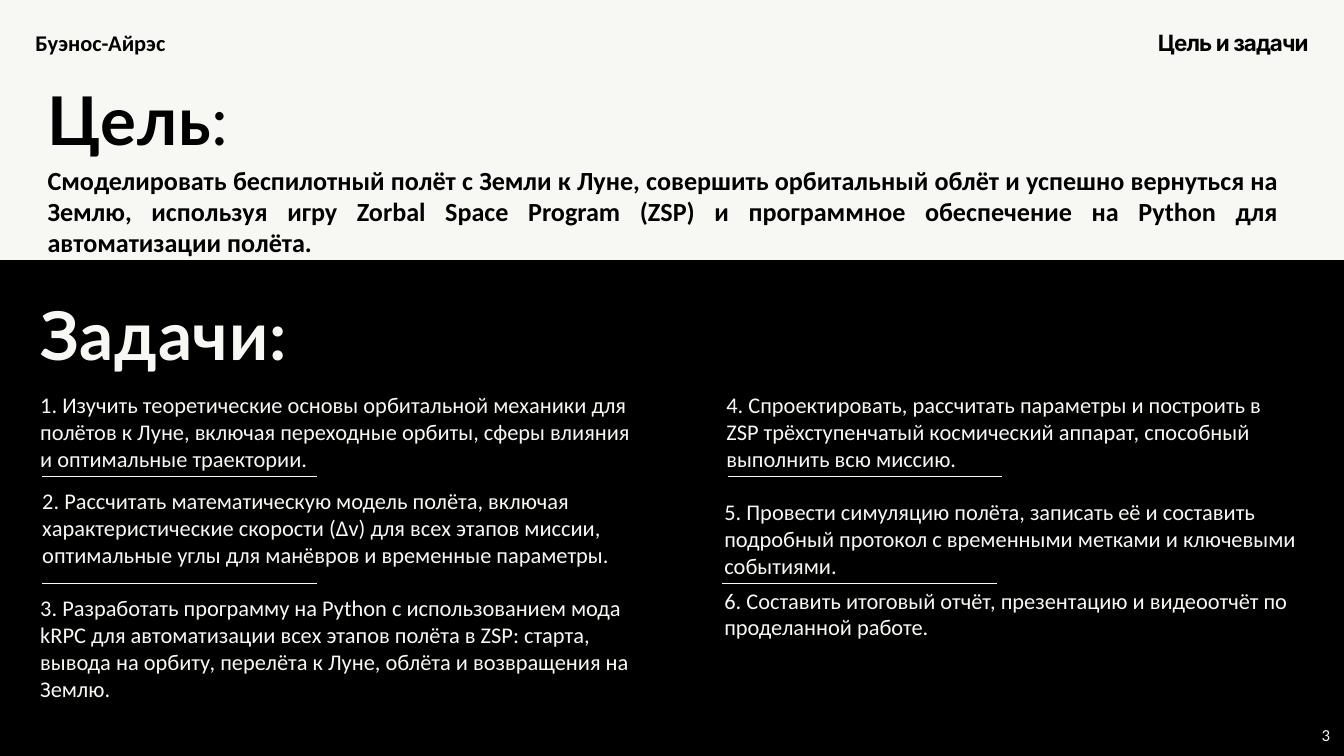
import pptx
import pptx.dml.color
import pptx.enum.shapes
import pptx.enum.text
import pptx.oxml.ns
import pptx.util
from lxml import etree
from pptx.util import Inches

BLACK = pptx.dml.color.RGBColor(0x00, 0x00, 0x00)
IVORY = pptx.dml.color.RGBColor(0xF7, 0xF8, 0xF3)

LEFT = pptx.enum.text.PP_ALIGN.LEFT
RIGHT = pptx.enum.text.PP_ALIGN.RIGHT
JUSTIFY = pptx.enum.text.PP_ALIGN.JUSTIFY

TEAM = "Буэнос-Айрэс"
SECTION = "Цель и задачи"
GOAL = (
    "Смоделировать беспилотный полёт с Земли к Луне, совершить орбитальный облёт "
    "и успешно вернуться на Землю, используя игру Zorbal Space Program (ZSP) "
    "и программное обеспечение на Python для автоматизации полёта."
)

# Left, top, width, height in inches, then the wording
TASKS = [
    (0.5, 5.77, 9.18, 1.65,
     "1. Изучить теоретические основы орбитальной механики для полётов к Луне, "
     "включая переходные орбиты, сферы влияния и оптимальные траектории."),
    (0.53, 7.2, 9.18, 1.62,
     "2. Рассчитать математическую модель полёта, включая характеристические "
     "скорости (Δv) для всех этапов миссии, оптимальные углы для манёвров "
     "и временные параметры."),
    (0.5, 8.79, 9.21, 2.12,
     "3. Разработать программу на Python с использованием мода kRPC для "
     "автоматизации всех этапов полёта в ZSP: старта, вывода на орбиту, "
     "перелёта к Луне, облёта и возвращения на Землю."),
    (10.71, 5.77, 8.58, 1.72,
     "4. Спроектировать, рассчитать параметры и построить в ZSP трёхступенчатый "
     "космический аппарат, способный выполнить всю миссию."),
    (10.68, 7.36, 8.84, 1.72,
     "5. Провести симуляцию полёта, записать её и составить подробный протокол "
     "с временными метками и ключевыми событиями."),
    (10.68, 8.68, 8.58, 1.25,
     "6. Составить итоговый отчёт, презентацию и видеоотчёт по проделанной работе."),
]

DIVIDER_LENGTH = 4.08
DIVIDER_STARTS = [(0.63, 7.09), (0.63, 8.68), (10.83, 7.09), (10.75, 8.68)]


def prepare_frame(shape, align=LEFT, wrap=True):
    """Set up the text frame and return its first paragraph."""
    frame = shape.text_frame
    frame.word_wrap = wrap
    frame.auto_size = pptx.enum.text.MSO_AUTO_SIZE.SHAPE_TO_FIT_TEXT
    frame.vertical_anchor = pptx.enum.text.MSO_ANCHOR.TOP
    paragraph = frame.paragraphs[0]
    paragraph.alignment = align
    return paragraph


def add_run(paragraph, text, size, color, font="Calibri", bold=False, spacing=0):
    """Add a run; spacing is the extra space between letters in points."""
    run = paragraph.add_run()
    run.text = text
    run.font.name = font
    run.font.size = pptx.util.Pt(size)
    run.font.bold = bold
    run.font.color.rgb = color
    if spacing:
        run.font._element.set("spc", str(spacing * 100))


def add_text(slide, box, text, size, color, align=LEFT, wrap=True, **style):
    shape = slide.shapes.add_textbox(*map(Inches, box))
    add_run(prepare_frame(shape, align, wrap), text, size, color, **style)


def place_title(slide):
    title = slide.shapes.title
    title.left, title.top = Inches(0.61), Inches(1.11)
    title.width, title.height = Inches(13.48), Inches(1.31)
    paragraph = prepare_frame(title)
    add_run(paragraph, "Цель", 72, BLACK, font="Lato", bold=True, spacing=1)
    add_run(paragraph, ":", 72, BLACK, font="Lato", spacing=1)


def add_tasks_panel(slide):
    panel = slide.shapes.add_shape(
        pptx.enum.shapes.MSO_SHAPE.RECTANGLE,
        Inches(0), Inches(3.87), Inches(20), Inches(7.38),
    )
    panel.shadow.inherit = False
    panel.fill.solid()
    panel.fill.fore_color.rgb = BLACK
    panel.line.color.rgb = BLACK
    panel.line.width = pptx.util.Pt(1)


def add_divider(slide, left, top):
    divider = slide.shapes.add_connector(
        pptx.enum.shapes.MSO_CONNECTOR.STRAIGHT,
        Inches(left), Inches(top), Inches(left + DIVIDER_LENGTH), Inches(top),
    )
    divider.line.color.rgb = IVORY
    divider.line.width = pptx.util.Pt(1)
    etree.SubElement(divider._element.spPr, pptx.oxml.ns.qn("a:effectLst"))


def main():
    presentation = pptx.Presentation()
    presentation.slide_width = Inches(20)
    presentation.slide_height = Inches(11.25)
    slide = presentation.slides.add_slide(presentation.slide_layouts[5])
    slide.background.fill.solid()
    slide.background.fill.fore_color.rgb = IVORY

    add_tasks_panel(slide)
    add_text(slide, (0.43, 0.38, 4.76, 0.5), TEAM, 24, BLACK, bold=True)
    add_text(slide, (14.37, 0.38, 5.2, 0.5), SECTION, 24, BLACK, align=RIGHT,
             font="Inter", bold=True, spacing=-1)
    place_title(slide)
    add_text(slide, (0.61, 2.39, 18.5, 1.51), GOAL, 28, BLACK, align=JUSTIFY, bold=True)

    add_text(slide, (0.5, 4.31, 13.48, 1.31), "Задачи:", 72, IVORY,
             font="Lato", bold=True, spacing=1)
    for *box, task in TASKS:
        add_text(slide, box, task, 24, IVORY)
    for left, top in DIVIDER_STARTS:
        add_divider(slide, left, top)
    add_text(slide, (19.57, 10.74, 0.33, 0.4), "3", 18, IVORY, wrap=False)

    presentation.save("out.pptx")


if __name__ == "__main__":
    main()
